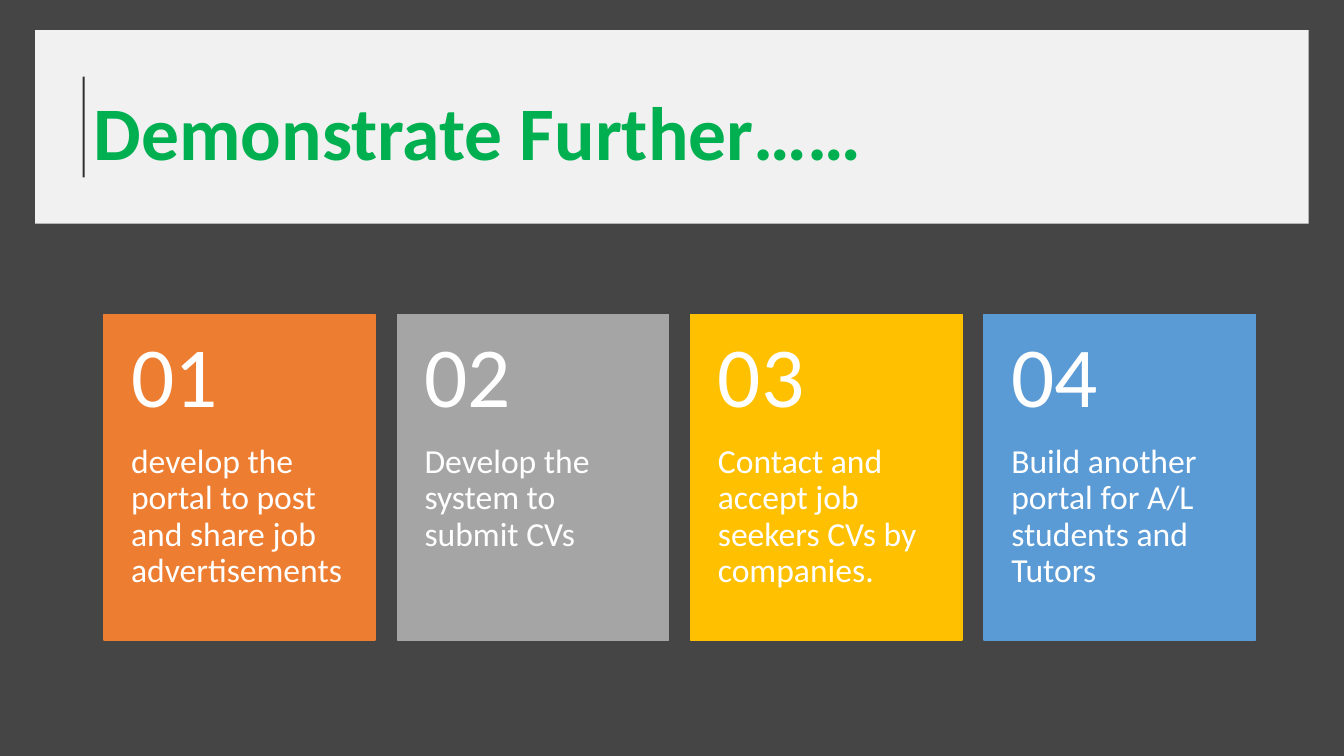
from dataclasses import dataclass

from lxml import etree
from pptx import Presentation
from pptx.dml.color import RGBColor
from pptx.enum.shapes import MSO_CONNECTOR, MSO_SHAPE
from pptx.enum.text import MSO_ANCHOR, MSO_AUTO_SIZE, PP_ALIGN
from pptx.oxml.ns import qn
from pptx.util import Pt

RECTANGLE = MSO_SHAPE.RECTANGLE
STRAIGHT = MSO_CONNECTOR.STRAIGHT
TOP, MIDDLE = MSO_ANCHOR.TOP, MSO_ANCHOR.MIDDLE
LEFT = PP_ALIGN.LEFT
FIXED_SIZE = MSO_AUTO_SIZE.NONE

EMU_PER_PX = 9144  # 100 px to the inch
FONT = "Calibri"
TITLE_ONLY_LAYOUT = 5

DARK_GREY = RGBColor(0x45, 0x45, 0x45)
WHITE = RGBColor(0xFF, 0xFF, 0xFF)
BLACK = RGBColor(0x00, 0x00, 0x00)
GREEN = RGBColor(0x00, 0xB0, 0x50)
ORANGE = RGBColor(0xED, 0x7D, 0x31)
GREY = RGBColor(0xA5, 0xA5, 0xA5)
GOLD = RGBColor(0xFF, 0xC0, 0x00)
BLUE = RGBColor(0x5B, 0x9B, 0xD5)

CARD_LEFT, CARD_TOP = 103, 312
CARD_WIDTH, CARD_HEIGHT = 269, 323
CARD_PITCH = 291
NUMBER_HEIGHT = 129


@dataclass(frozen=True)
class Card:
    text: str
    color: RGBColor


CARDS = [
    Card("develop the portal to post and share job advertisements", ORANGE),
    Card("Develop the system to submit CVs", GREY),
    Card("Contact and accept job seekers CVs by companies.", GOLD),
    Card("Build another portal for A/L students and Tutors", BLUE),
]


def px(*lengths: int) -> list[int]:
    """Turn px lengths into EMU."""
    return [length * EMU_PER_PX for length in lengths]


def set_opacity(color_format_parent, percent: int) -> None:
    """Add an alpha to the solid colour found below an XML element."""
    color = color_format_parent.find(f".//{qn('a:solidFill')}/{qn('a:srgbClr')}")
    etree.SubElement(color, qn("a:alpha")).set("val", str(percent * 1000))


def write_text(box, text: str, *, size: int, color: RGBColor, bold: bool = False,
               anchor=TOP, line_spacing: float = 1.0,
               insets: tuple[int, int, int, int] = (10, 5, 10, 5)) -> None:
    """Fill a box with one formatted paragraph; insets run left, top, right, bottom."""
    frame = box.text_frame
    frame.word_wrap = True
    frame.auto_size = FIXED_SIZE
    frame.vertical_anchor = anchor
    (frame.margin_left, frame.margin_top,
     frame.margin_right, frame.margin_bottom) = px(*insets)
    para = frame.paragraphs[0]
    para.alignment = LEFT
    para.line_spacing = line_spacing
    span = para.add_run()
    span.text = text
    span.font.name = FONT
    span.font.size = Pt(size)
    span.font.bold = bold
    span.font.color.rgb = color


def add_rectangle(slide, bounds: tuple[int, int, int, int], color: RGBColor):
    box = slide.shapes.add_shape(RECTANGLE, *px(*bounds))
    box.shadow.inherit = False
    box.fill.solid()
    box.fill.fore_color.rgb = color
    box.line.fill.background()
    return box


def add_header(slide) -> None:
    panel = add_rectangle(slide, (35, 30, 1263, 192), WHITE)
    set_opacity(panel.fill._xPr, 93)

    rule = slide.shapes.add_connector(STRAIGHT, *px(83, 176, 83, 76))
    rule.line.width = Pt(1.5)
    rule.line.color.rgb = BLACK
    properties = rule._element.spPr
    set_opacity(properties, 80)
    etree.SubElement(properties, qn("a:effectLst"))

    title = slide.shapes.title
    title.left, title.top, title.width, title.height = px(83, 76, 1036, 131)
    write_text(title, "Demonstrate Further……", size=54, color=GREEN, bold=True,
               insets=(10, 8, 10, 5))
    slide.shapes._spTree.append(title._element)  # bring in front of the panel


def add_card(slide, index: int, card: Card) -> None:
    left = CARD_LEFT + index * CARD_PITCH
    tile = add_rectangle(slide, (left, CARD_TOP, CARD_WIDTH, CARD_HEIGHT), card.color)
    tile.line.color.rgb = card.color
    tile.line.width = Pt(1)

    number = slide.shapes.add_textbox(*px(left, CARD_TOP, CARD_WIDTH, NUMBER_HEIGHT))
    write_text(number, f"{index + 1:02}", size=61, color=WHITE, anchor=MIDDLE,
               line_spacing=0.9, insets=(27, 18, 27, 18))

    description = slide.shapes.add_textbox(
        *px(left, CARD_TOP + NUMBER_HEIGHT, CARD_WIDTH, CARD_HEIGHT - NUMBER_HEIGHT))
    write_text(description, card.text, size=24, color=WHITE,
               line_spacing=0.9, insets=(27, 0, 27, 36))


def main() -> None:
    deck = Presentation()
    deck.slide_width, deck.slide_height = px(1333, 750)
    slide = deck.slides.add_slide(deck.slide_layouts[TITLE_ONLY_LAYOUT])
    slide.background.fill.solid()
    slide.background.fill.fore_color.rgb = DARK_GREY
    add_header(slide)
    for index, card in enumerate(CARDS):
        add_card(slide, index, card)
    deck.save("out.pptx")


if __name__ == "__main__":
    main()
